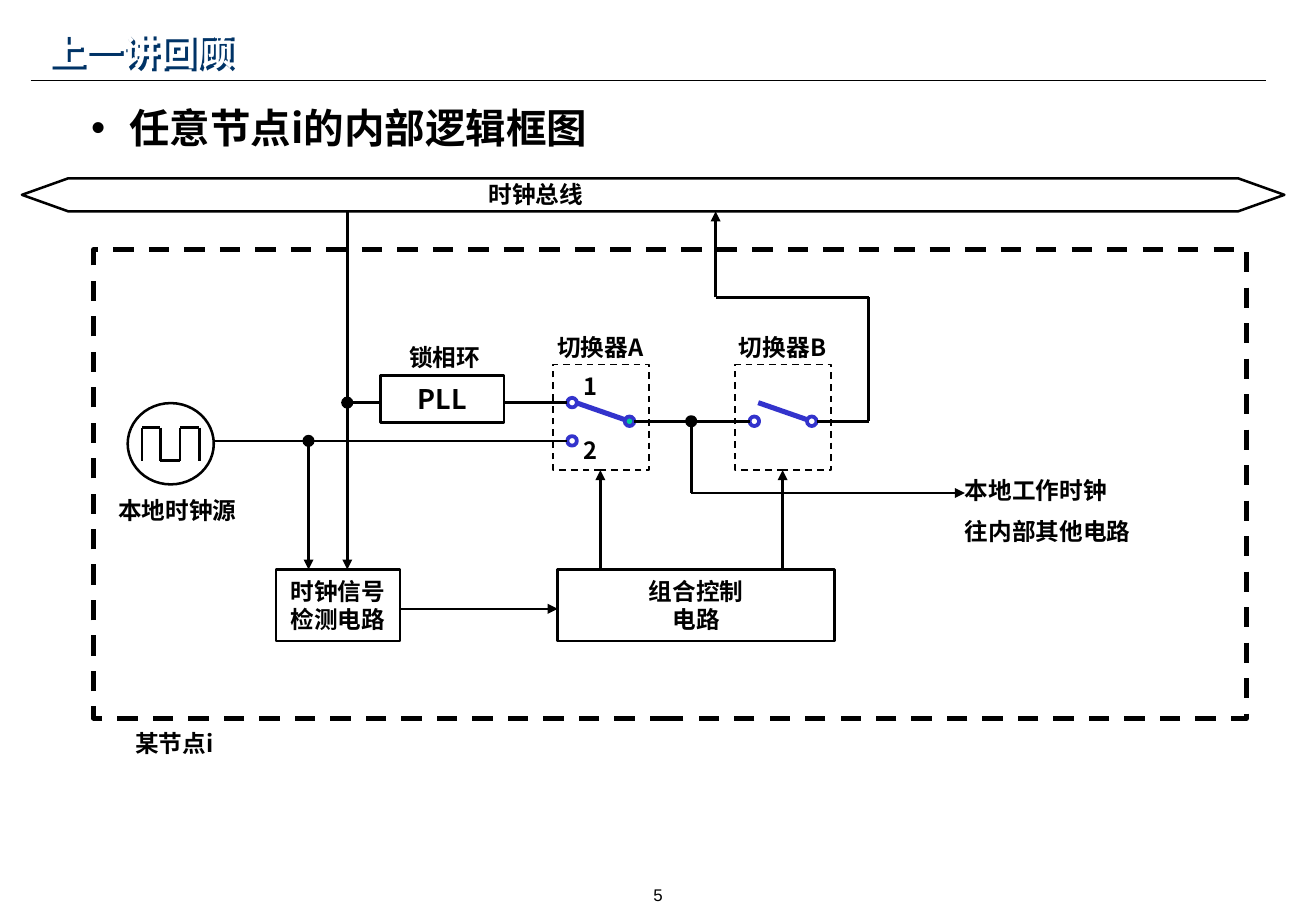
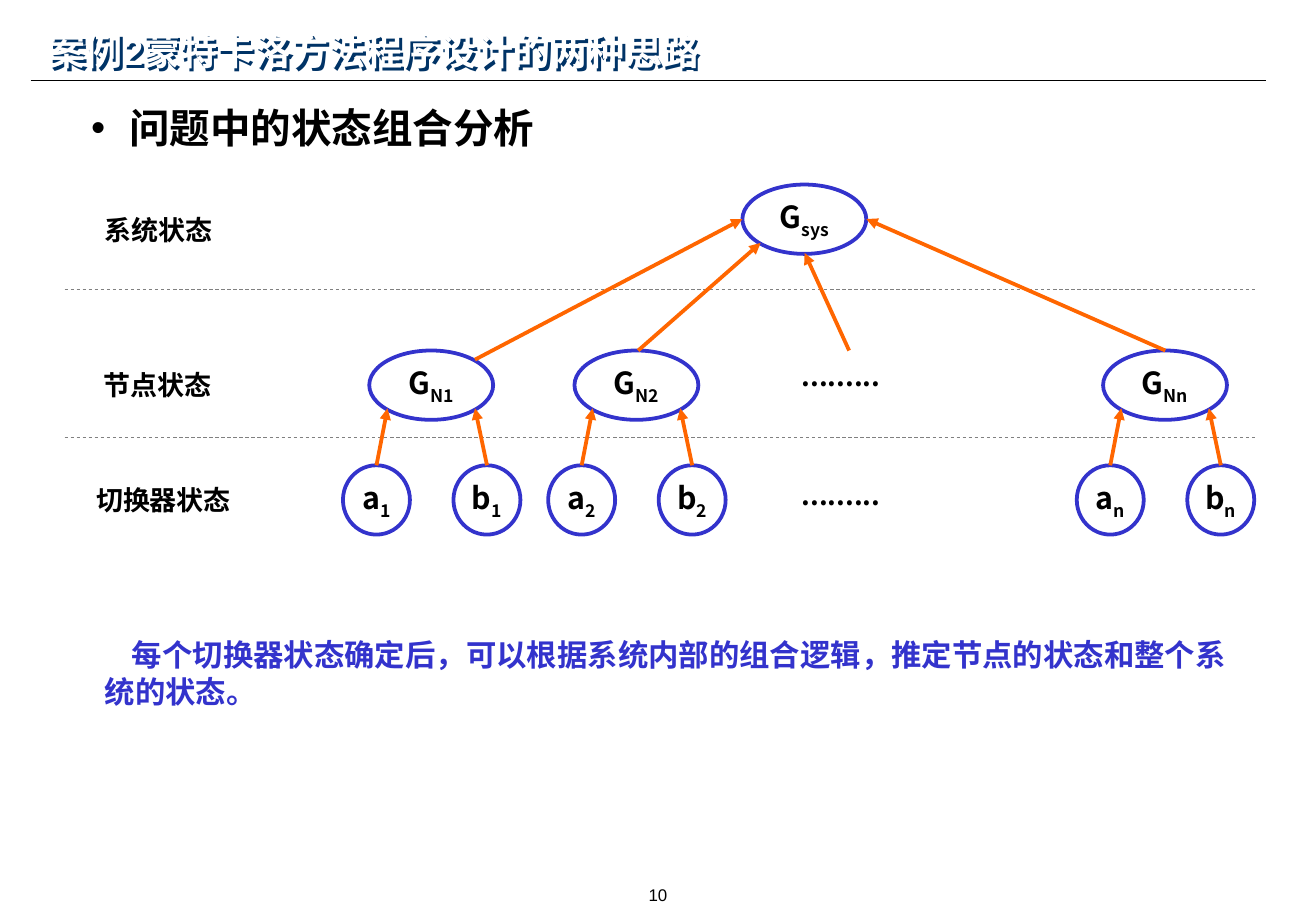
from itertools import pairwise

from lxml.etree import SubElement
from pptx import Presentation
from pptx.dml.color import RGBColor
from pptx.enum.dml import MSO_LINE
from pptx.enum.shapes import MSO_CONNECTOR, MSO_SHAPE
from pptx.enum.text import MSO_ANCHOR, MSO_AUTO_SIZE, PP_ALIGN
from pptx.oxml.ns import qn
from pptx.util import Cm, Pt

CJK_FONT, LATIN_FONT = "Noto Sans CJK SC", "Arial"
BLACK, WHITE, BLUE = "000000", "FFFFFF", "3333CC"
NAVY, TEAL, ORANGE, GREY = "003366", "00CC99", "FF6600", "808080"

# Heights of the block diagram, in cm
BUS_BOTTOM, BOX_TOP, BOX_BOTTOM = 4.42, 7.62, 9.83
UPPER, MIDDLE, LOWER = 8.42, 8.81, 9.22
CONTROL_TOP = 11.91

# Left edges and columns of the block diagram, in cm
SWITCH_A, SWITCH_B = 11.56, 15.37
CONTACT_IN, CONTACT_OUT, CONTACT_SIZE = 0.4, 1.6, 0.2
SOURCE_TAP, BUS_TAP, OUTPUT_TAP = 6.45, 7.26, 14.45

# State tree, in cm
STATE_SIZE, SWITCH_STATE_SIZE = (2.59, 1.45), (1.4, 1.45)
NODE_TOP, SWITCH_TOP = 7.33, 9.73


def color(code):
    return RGBColor.from_string(code)


def write(frame, lines, size=14, ink=BLACK, align=PP_ALIGN.CENTER, bold=True,
          latin=CJK_FONT, gap=0):
    """Fill a frame; each line is (text,) or (text, subscript)."""
    frame.word_wrap = True
    for index, runs in enumerate(lines):
        para = frame.paragraphs[0] if index == 0 else frame.add_paragraph()
        para.alignment = align
        para.line_spacing = 1.0
        para.space_before = Pt(gap if index else 0)
        for position, text in enumerate(runs):
            span = para.add_run()
            span.text = text
            span.font.size = Pt(size)
            span.font.bold = bold
            span.font.color.rgb = color(ink)
            span.font.name = latin
            properties = span._r.get_or_add_rPr()
            SubElement(properties, qn("a:ea"), typeface=CJK_FONT)
            if position:
                properties.set("baseline", "-25000")


def indent(para, margin, first):
    properties = para._p.get_or_add_pPr()
    properties.set("marL", str(Cm(margin)))
    properties.set("indent", str(Cm(first)))


def set_margins(frame, side, edge):
    frame.margin_left = frame.margin_right = Cm(side)
    frame.margin_top = frame.margin_bottom = Cm(edge)


def place(shape, left, top, width, height):
    shape.left, shape.top = Cm(left), Cm(top)
    shape.width, shape.height = Cm(width), Cm(height)


def label(slide, left, top, *lines, width=3.3, height=0.84, side=0, edge=0.13,
          **style):
    box = slide.shapes.add_textbox(Cm(left), Cm(top), Cm(width), Cm(height))
    set_margins(box.text_frame, side, edge)
    write(box.text_frame, [(line,) for line in lines], **style)
    return box


def outline(slide, kind, left, top, width, height, lines=(), fill=None,
            ink=BLACK, weight=1.5, dash=None, size=14):
    """Draw an outlined preset shape, optionally filled and with text."""
    shape = slide.shapes.add_shape(kind, Cm(left), Cm(top), Cm(width), Cm(height))
    shape.shadow.inherit = False
    if fill:
        shape.fill.solid()
        shape.fill.fore_color.rgb = color(fill)
    else:
        shape.fill.background()
    shape.line.color.rgb = color(ink)
    shape.line.width = Pt(weight)
    if dash:
        shape.line.dash_style = dash
    if lines:
        set_margins(shape.text_frame, 0, 0)
        shape.text_frame.vertical_anchor = MSO_ANCHOR.MIDDLE
        write(shape.text_frame, lines, size)
    return shape


def dot(slide, x, y, **style):
    radius = CONTACT_SIZE / 2
    outline(slide, MSO_SHAPE.OVAL, x - radius, y - radius,
            CONTACT_SIZE, CONTACT_SIZE, **style)


def wire(slide, *points, arrow=False, ink=BLACK, weight=1.5, dash=None):
    """Join the points with straight lines; the arrowhead is on the last."""
    for start, end in pairwise(points):
        line = slide.shapes.add_connector(
            MSO_CONNECTOR.STRAIGHT, *map(Cm, start), *map(Cm, end))
        line.line.color.rgb = color(ink)
        line.line.width = Pt(weight)
        if dash:
            line.line.dash_style = dash
        if arrow and end == points[-1]:
            SubElement(line.line._get_or_add_ln(), qn("a:tailEnd"), type="triangle")
        SubElement(line.element.spPr, qn("a:effectLst"))
    return line


def add_title_shadow(title):
    effects = SubElement(title.element.spPr, qn("a:effectLst"))
    shadow = SubElement(effects, qn("a:outerShdw"), dist=str(Cm(0.08)),
                        dir="2700000", algn="ctr", rotWithShape="0")
    SubElement(shadow, qn("a:srgbClr"), val=NAVY)


def start_slide(deck, title, topic, number):
    slide = deck.slides.add_slide(deck.slide_layouts[1])
    heading, body = slide.placeholders
    place(heading, 0.76, 0.43, 24.2, 1.27)
    heading.text_frame.vertical_anchor = MSO_ANCHOR.MIDDLE
    heading.text_frame.auto_size = MSO_AUTO_SIZE.NONE
    write(heading.text_frame, [(title,)], 22, WHITE, PP_ALIGN.LEFT,
          latin=LATIN_FONT)
    add_title_shadow(heading)

    place(body, 1.65, 2.03, 21.41, 1.27)
    body.text_frame.auto_size = MSO_AUTO_SIZE.NONE
    write(body.text_frame, [(topic,)], 24, align=PP_ALIGN.LEFT)
    indent(body.text_frame.paragraphs[0], 0.8, -0.8)

    label(slide, 9.4, 18.4, str(number), width=8.71, height=0.64, side=0.18,
          edge=0.1, size=10, bold=False, latin=LATIN_FONT)
    return slide


def add_header_rule(slide):
    """Put the line under the title on the layout that all slides share."""
    rule = wire(slide, (0.64, 1.69), (26.46, 1.69), weight=0.75)
    slide.slide_layout.shapes.element.append(rule.element)


def switch(slide, left, name, inputs, lever_fill):
    x_in, x_out = left + CONTACT_IN, left + CONTACT_OUT
    wire(slide, (x_in + 0.08, UPPER), (x_out, MIDDLE), ink=BLUE, weight=3)
    for y in inputs:
        dot(slide, x_in, y, fill=WHITE, ink=BLUE, weight=2.25)
    dot(slide, x_out, MIDDLE, fill=lever_fill, ink=BLUE, weight=2.25)
    outline(slide, MSO_SHAPE.RECTANGLE, left, BOX_TOP, 2.01, BOX_BOTTOM - BOX_TOP,
            weight=1, dash=MSO_LINE.DASH)
    label(slide, left - 0.66, 6.83, name)
    control_x = left + 0.99
    wire(slide, (control_x, CONTROL_TOP), (control_x, BOX_BOTTOM), arrow=True)


def draw_wiring(slide):
    a_in, a_out = SWITCH_A + CONTACT_IN - 0.1, SWITCH_A + CONTACT_OUT + 0.1
    b_in, b_out = SWITCH_B + CONTACT_IN - 0.1, SWITCH_B + CONTACT_OUT + 0.1
    wire(slide, (4.47, LOWER), (a_in, LOWER))
    wire(slide, (BUS_TAP, UPPER), (7.95, UPPER))
    wire(slide, (10.54, UPPER), (a_in, UPPER))
    wire(slide, (a_out, MIDDLE), (b_in, MIDDLE))
    for route in (
        [(BUS_TAP, BUS_BOTTOM), (BUS_TAP, CONTROL_TOP)],
        [(SOURCE_TAP, LOWER), (SOURCE_TAP, CONTROL_TOP)],
        [(8.36, 12.73), (11.66, 12.73)],
        [(b_out, MIDDLE), (18.16, MIDDLE), (18.16, 6.22), (14.96, 6.22),
         (14.96, BUS_BOTTOM)],
        [(OUTPUT_TAP, MIDDLE), (OUTPUT_TAP, 10.31), (20.17, 10.31)],
    ):
        wire(slide, *route, arrow=True)
    for x, y in ((SOURCE_TAP, LOWER), (BUS_TAP, UPPER), (OUTPUT_TAP, MIDDLE)):
        dot(slide, x, y, fill=BLACK)


def draw_clock_source(slide):
    outline(slide, MSO_SHAPE.OVAL, 2.67, 8.43, 1.8, 1.7, fill=WHITE)
    low, high = 9.63, 8.94
    wire(slide, (2.97, low), (2.97, high), (3.35, high), (3.35, low),
         (3.76, low), (3.76, high), (4.17, high), (4.17, low))
    label(slide, 2.06, 10.24, "本地时钟源")


def build_block_diagram(slide):
    outline(slide, MSO_SHAPE.RECTANGLE, 1.96, 5.22, 24.1, 9.8,
            weight=3, dash=MSO_LINE.DASH)
    draw_clock_source(slide)
    for left, top, width, height, size, lines in (
        (7.95, 7.85, 2.59, 0.99, 16, [("PLL",)]),
        (5.77, CONTROL_TOP, 2.59, 1.5, 14, [("时钟信号",), ("检测电路",)]),
        (11.66, CONTROL_TOP, 5.79, 1.5, 14, [("组合控制",), ("电路",)]),
    ):
        outline(slide, MSO_SHAPE.RECTANGLE, left, top, width, height, lines, size=size)
    switch(slide, SWITCH_A, "切换器A", (UPPER, LOWER), TEAL)
    switch(slide, SWITCH_B, "切换器B", (MIDDLE,), WHITE)
    for text, top in (("1", 7.78), ("2", 9.12)):
        label(slide, 11.5, top, text, width=1.7, height=0.58, edge=0)
    draw_wiring(slide)
    bus = outline(slide, MSO_SHAPE.LEFT_RIGHT_ARROW, 0.46, 3.73, 26.39, 0.69, fill=WHITE)
    bus.adjustments[0], bus.adjustments[1] = 1, 1.4
    label(slide, 9.55, 3.63, "时钟总线")
    label(slide, 7.65, 7.04, "锁相环")
    label(slide, 1.55, 15.11, "某节点i", width=4.19)
    label(slide, 20.17, 9.83, "本地工作时钟", "往内部其他电路", width=4.5,
          height=1.73, align=PP_ALIGN.LEFT, gap=7)


def state(slide, left, top, extent, name, subscript):
    outline(slide, MSO_SHAPE.OVAL, left, top, *extent, [(name, subscript)],
            fill=WHITE, ink=BLUE, weight=2.25, size=18)


def state_arrow(slide, start, end):
    wire(slide, start, end, arrow=True, ink=ORANGE, weight=2.25)


def node_group(slide, left, key):
    """Draw a node state with the two switch states that determine it."""
    state(slide, left, NODE_TOP, STATE_SIZE, "G", f"N{key}")
    for name, shift, tip in (("a", -0.55, 0.38), ("b", 1.76, 2.21)):
        x = left + shift
        state(slide, x, SWITCH_TOP, SWITCH_STATE_SIZE, name, key)
        state_arrow(slide, (x + SWITCH_STATE_SIZE[0] / 2, SWITCH_TOP),
                    (left + tip, 8.54))


def build_state_tree(slide):
    for y in (6.05, 9.14):
        wire(slide, (1.35, y), (26.24, y), ink=GREY, weight=0.5, dash=MSO_LINE.DASH)
    for left, key in ((7.72, "1"), (12.01, "2"), (23.06, "n")):
        node_group(slide, left, key)
    state(slide, 15.52, 3.86, STATE_SIZE, "G", "sys")
    for start, end in (
        ((9.93, 7.52), (15.52, 4.58)),
        ((13.34, NODE_TOP), (15.9, 5.08)),
        ((17.75, NODE_TOP), (16.82, 5.29)),
        ((24.36, NODE_TOP), (18.11, 4.58)),
    ):
        state_arrow(slide, start, end)
    for left, top, text in (
        (1.94, 4.34, "系统状态"), (1.92, 7.57, "节点状态"), (1.76, 9.98, "切换器状态"),
        (16.51, 7.39, "........."), (16.51, 9.88, "........."),
    ):
        label(slide, left, top, text, width=3.5, height=0.94, side=0.25,
              size=16, align=PP_ALIGN.LEFT)
    conclusion = label(
        slide, 1.94, 13.18,
        "每个切换器状态确定后，可以根据系统内部的组合逻辑，推定节点的状态和整个系统的状态。",
        width=24, height=1.8, side=0.25, size=18, ink=BLUE, align=PP_ALIGN.LEFT)
    indent(conclusion.text_frame.paragraphs[0], 0, 0.57)


def main():
    deck = Presentation()
    deck.slide_width, deck.slide_height = Cm(27.51), Cm(19.05)
    review = start_slide(deck, "上一讲回顾", "任意节点i的内部逻辑框图", 5)
    add_header_rule(review)
    build_block_diagram(review)
    analysis = start_slide(deck, "案例2蒙特卡洛方法程序设计的两种思路",
                           "问题中的状态组合分析", 10)
    build_state_tree(analysis)
    deck.save("out.pptx")


if __name__ == "__main__":
    main()
